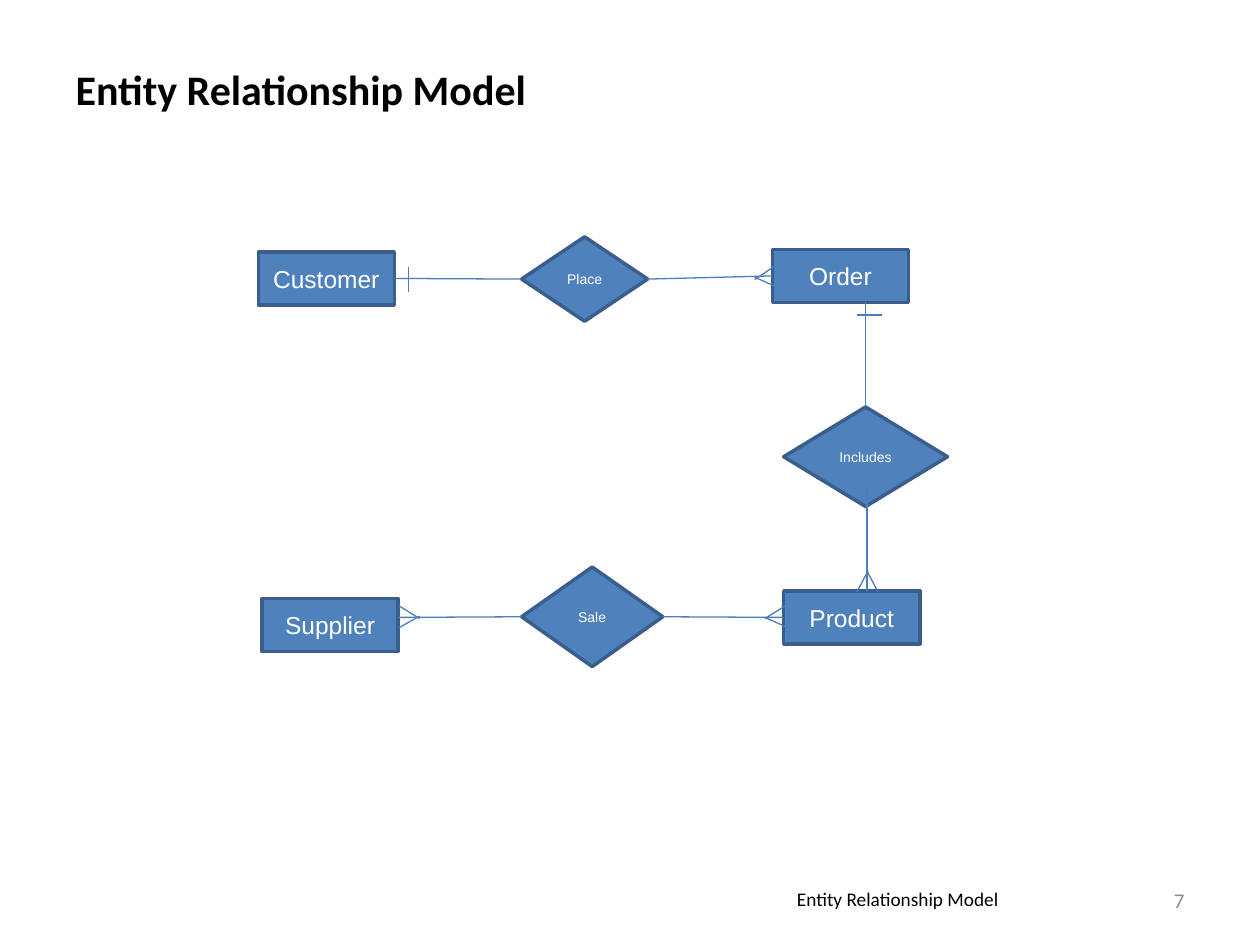
from lxml.etree import SubElement
from pptx import Presentation
from pptx.dml.color import RGBColor
from pptx.enum.shapes import MSO_CONNECTOR, MSO_SHAPE
from pptx.enum.text import MSO_ANCHOR, PP_ALIGN
from pptx.oxml.ns import qn
from pptx.util import Inches, Pt

HUES = {"fill": "4F81BD", "edge": "3A5F8C", "line": "4B7EBC",
        "white": "FFFFFF", "black": "000000", "gray": "8B8B8B"}
TOP, LEFT, BOTTOM, RIGHT = range(4)


def write(shape, text, align, hue, **style):
    frame = shape.text_frame
    frame.word_wrap = True
    frame.vertical_anchor = MSO_ANCHOR.MIDDLE
    para = frame.paragraphs[0]
    para.alignment = align
    run = para.add_run()
    run.text = text
    run.font.color.rgb = RGBColor.from_string(HUES[hue])
    for name, value in style.items():
        setattr(run.font, name, value)


def draw(x1, y1, x2, y2):
    line = slide.shapes.add_connector(
        MSO_CONNECTOR.STRAIGHT, Inches(x1), Inches(y1), Inches(x2), Inches(y2))
    line.line.color.rgb = RGBColor.from_string(HUES["line"])
    line.line.width = Pt(0.75)
    SubElement(line._element.spPr, qn("a:effectLst"))
    return line


deck = Presentation()
deck.slide_width, deck.slide_height = Inches(10), Inches(7.5)
slide = deck.slides.add_slide(deck.slide_layouts[5])

title = slide.shapes.title
place = {"left": 0.5, "top": 0.08, "width": 9, "height": 1.25}
for name, value in place.items():
    setattr(title, name, Inches(value))
write(title, "Entity Relationship Model", PP_ALIGN.LEFT, "black",
      name="Calibri", size=Pt(24), bold=True)

foot = [
    ("Entity Relationship Model", 5.92, 7, 2.41, 0.27, PP_ALIGN.CENTER, "black", 11),
    ("7", 7.17, 6.95, 2.33, 0.39, PP_ALIGN.RIGHT, "gray", 12),
]
for text, x, y, w, h, align, hue, size in foot:
    box = slide.shapes.add_textbox(Inches(x), Inches(y), Inches(w), Inches(h))
    write(box, text, align, hue, name="Calibri", size=Pt(size))

rect, gem = MSO_SHAPE.RECTANGLE, MSO_SHAPE.DIAMOND
nodes = [
    ("Customer", rect, 2.05, 2, 1.08, 0.42),
    ("Order", rect, 6.13, 1.98, 1.08, 0.42),
    ("Product", rect, 6.22, 4.69, 1.08, 0.42),
    ("Supplier", rect, 2.08, 4.75, 1.08, 0.42),
    ("Place", gem, 4.14, 1.88, 1, 0.67),
    ("Sale", gem, 4.14, 4.5, 1.12, 0.79),
    ("Includes", gem, 6.22, 3.23, 1.3, 0.79),
]
parts = {}
for text, kind, x, y, w, h in nodes:
    node = slide.shapes.add_shape(kind, Inches(x), Inches(y), Inches(w), Inches(h))
    node.shadow.inherit = False
    node.fill.solid()
    node.fill.fore_color.rgb = RGBColor.from_string(HUES["fill"])
    node.line.color.rgb = RGBColor.from_string(HUES["edge"])
    node.line.width = Pt(2)
    for side in ("left", "top", "right", "bottom"):
        setattr(node.text_frame, "margin_" + side, 0)
    write(node, text, PP_ALIGN.CENTER, "white",
          name="Arial", size=Pt(14 if kind == rect else 8))
    parts[text] = node

links = [
    (3.13, 2.21, 4.14, 2.21, ("Customer", RIGHT), ("Place", LEFT)),
    (5.14, 2.21, 6.13, 2.21, ("Place", RIGHT), ("Order", LEFT)),
    (3.16, 4.9, 4.14, 4.9, None, ("Sale", LEFT)),
    (5.26, 4.9, 6.22, 4.9, ("Sale", RIGHT), ("Product", LEFT)),
    (6.87, 3.23, 6.87, 2.4, ("Includes", TOP), None),
    (6.88, 4.69, 6.88, 3.87, None, None),
]
for x1, y1, x2, y2, start, end in links:
    link = draw(x1, y1, x2, y2)
    if start:
        link.begin_connect(parts[start[0]], start[1])
    if end:
        link.end_connect(parts[end[0]], end[1])

marks = [
    (3.24, 2.12, 3.24, 2.32),
    (6.8, 2.5, 7, 2.5),
    (6.17, 2.28, 5.99, 2.2),
    (6.15, 2.11, 5.99, 2.22),
    (6.8, 4.7, 6.89, 4.53),
    (6.97, 4.7, 6.88, 4.53),
    (6.25, 4.98, 6.07, 4.9),
    (6.23, 4.81, 6.07, 4.91),
    (3.17, 4.81, 3.33, 4.91),
    (3.17, 4.98, 3.33, 4.89),
]
for mark in marks:
    draw(*mark)

deck.save("out.pptx")
